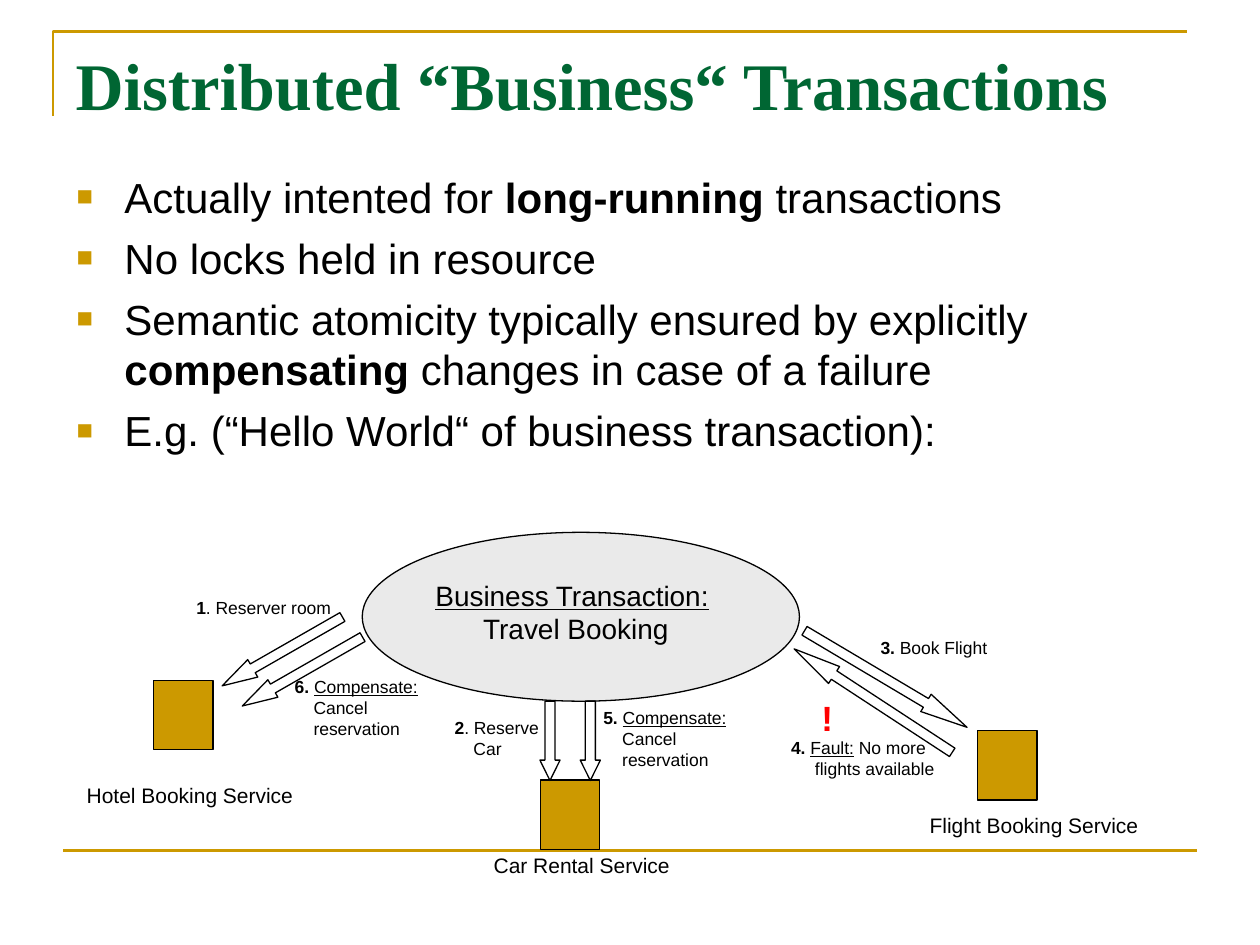
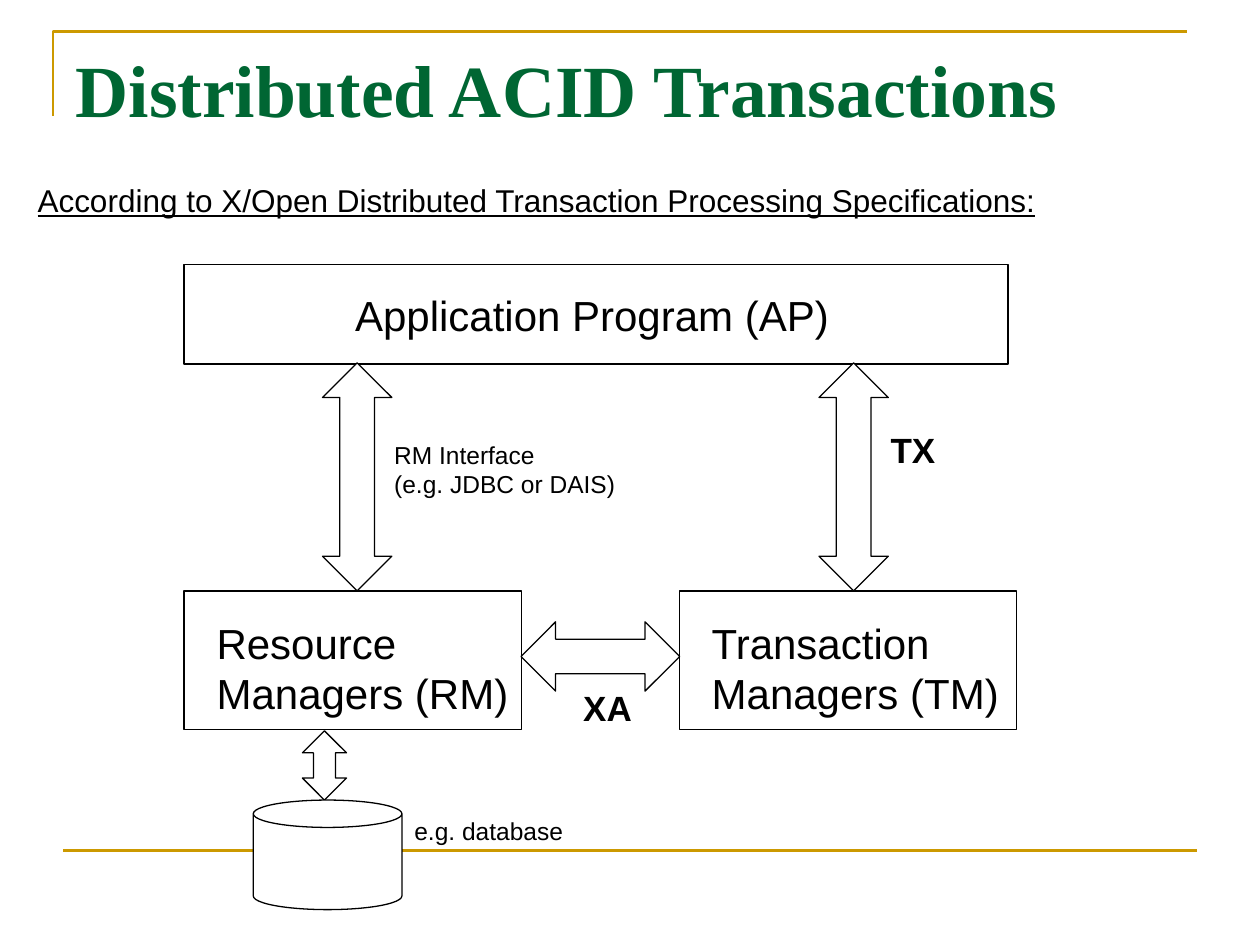
from lxml import etree
from pptx import Presentation
from pptx.dml.color import RGBColor
from pptx.enum.shapes import MSO_CONNECTOR, MSO_SHAPE
from pptx.enum.text import MSO_ANCHOR, MSO_AUTO_SIZE, PP_ALIGN
from pptx.oxml.ns import qn
from pptx.util import Inches, Pt

OVAL, RECT, CAN = MSO_SHAPE.OVAL, MSO_SHAPE.RECTANGLE, MSO_SHAPE.CAN
ARROW, DOUBLE_ARROW = MSO_SHAPE.RIGHT_ARROW, MSO_SHAPE.UP_DOWN_ARROW
STRAIGHT = MSO_CONNECTOR.STRAIGHT
TOP = MSO_ANCHOR.TOP
FIXED = MSO_AUTO_SIZE.NONE
LEFT, CENTER = PP_ALIGN.LEFT, PP_ALIGN.CENTER

COLORS = {
    name: RGBColor.from_string(value)
    for name, value in {
        "gold": "CC9900",
        "green": "006633",
        "black": "000000",
        "white": "FFFFFF",
        "gray": "EAEAEA",
        "red": "FF0000",
    }.items()
}
BODY_FONT, TITLE_FONT = "Arial", "Times New Roman"
LABEL_SLACK = 0.1


def add_figure(slide, kind, box, fill="white", rotation=0, adjust=()):
    figure = slide.shapes.add_shape(kind, *map(Inches, box))
    figure.shadow.inherit = False
    figure.rotation = rotation
    for index, value in enumerate(adjust):
        figure.adjustments[index] = value
    figure.fill.solid()
    figure.fill.fore_color.rgb = COLORS[fill]
    figure.line.color.rgb = COLORS["black"]
    figure.line.width = Pt(0.75)


def add_text(slide, box, size, lines, color="black", align=LEFT, indent=0, bullets=False):
    left, top, width, height = box
    if align == LEFT and not bullets:
        width += LABEL_SLACK
    frame = slide.shapes.add_textbox(*map(Inches, (left, top, width, height))).text_frame
    frame.word_wrap = True
    frame.auto_size = FIXED
    for index, runs in enumerate(lines):
        paragraph = frame.paragraphs[0] if index == 0 else frame.add_paragraph()
        properties = paragraph._p.get_or_add_pPr()
        if bullets:
            properties.set("marL", str(Inches(0.38)))
            properties.set("indent", str(Inches(-0.38)))
            bullet_color = etree.SubElement(properties, qn("a:buClr"))
            etree.SubElement(bullet_color, qn("a:srgbClr"), val=str(COLORS["gold"]))
            etree.SubElement(properties, qn("a:buSzPct"), val="65000")
            etree.SubElement(properties, qn("a:buFont"), typeface=BODY_FONT)
            etree.SubElement(properties, qn("a:buChar"), char="■")
            if index:
                paragraph.space_before = Pt(6)
        elif index and indent:
            properties.set("marL", str(Inches(indent)))
        paragraph.alignment = align
        paragraph.line_spacing = Pt(1.2 * size)
        for words, style in runs:
            run = paragraph.add_run()
            run.text = words
            run.font.name = BODY_FONT
            run.font.size = Pt(size)
            run.font.color.rgb = COLORS[color]
            run.font.bold = "b" in style
            run.font.underline = "u" in style


prs = Presentation()
prs.slide_width, prs.slide_height = Inches(10), Inches(7.5)

for heading, heading_size, heading_width in [
    ("Distributed “Business“ Transactions", 38, 9.3),
    ("Distributed ACID Transactions", 42, 9),
]:
    slide = prs.slides.add_slide(prs.slide_layouts[5])
    corner = slide.shapes.build_freeform(Inches(0.42), Inches(0.92))
    corner.add_line_segments(
        [(Inches(0.42), Inches(0.25)), (Inches(9.42), Inches(0.25))], close=False)
    corner_rule = corner.convert_to_shape()
    corner_rule.shadow.inherit = False
    corner_rule.fill.background()
    bottom_rule = slide.shapes.add_connector(
        STRAIGHT, Inches(0.5), Inches(6.75), Inches(9.5), Inches(6.75))
    etree.SubElement(bottom_rule._element.spPr, qn("a:effectLst"))
    for rule in (corner_rule, bottom_rule):
        rule.line.color.rgb = COLORS["gold"]
        rule.line.width = Pt(1.5)

    title = slide.shapes.title
    title.left, title.top = Inches(0.5), Inches(0.3)
    title.width, title.height = Inches(heading_width), Inches(1.25)
    title.text_frame.vertical_anchor = TOP
    title.text_frame.word_wrap = True
    title.text_frame.auto_size = FIXED
    title.text_frame.paragraphs[0].alignment = LEFT
    title_run = title.text_frame.paragraphs[0].add_run()
    title_run.text = heading
    title_run.font.name = TITLE_FONT
    title_run.font.size = Pt(heading_size)
    title_run.font.bold = True
    title_run.font.color.rgb = COLORS["green"]

business, acid = prs.slides

add_text(business, (0.51, 1.31, 9, 4.95), 24, [
    [("Actually intented for ", ""), ("long-running", "b"), (" transactions", "")],
    [("No locks held in resource", "")],
    [("Semantic atomicity typically ensured by explicitly ", ""),
     ("compensating", "b"), (" changes in case of a failure", "")],
    [("E.g. (“Hello World“ of business transaction):", "")],
], bullets=True)

add_figure(business, OVAL, (3.94, 3.16, 1.34, 3.47), "gray", 90)
for left, top in [(1.22, 5.4), (4.29, 6.19), (7.76, 5.8)]:
    add_figure(business, RECT, (left, top, 0.47, 0.55), "gold")
for left, top, length, rotation, head in [
    (1.69, 5.09, 1.1, 150.2, 1.75),
    (1.85, 5.25, 1.1, 150.2, 1.75),
    (4.05, 5.8, 0.63, 90, 1.01),
    (4.37, 5.8, 0.63, 90, 1.01),
    (6.28, 5.31, 1.5, 30.7, 2.37),
    (6.18, 5.48, 1.5, 213.2, 2.37),
]:
    add_figure(business, ARROW, (left, top, length, 0.16), "white", rotation, (0.5, head))

add_text(business, (3.35, 4.54, 2.38, 0.64), 16,
         [[("Business Transaction:", "u")], [("Travel Booking", "")]],
         align=CENTER, indent=0.06)
for service, left, top, width in [
    ("Hotel Booking Service", 0.59, 6.16, 1.84),
    ("Flight Booking Service", 7.28, 6.4, 1.86),
    ("Car Rental Service", 3.82, 6.72, 1.6),
]:
    add_text(business, (left, top, width, 0.3), 12, [[(service, "")]])

cancellation = [[("Cancel", "")], [("reservation", "")]]
for box, indent, lines in [
    ((1.46, 4.69, 1.27, 0.27), 0, [[("1", "b"), (". Reserver room", "")]]),
    ((3.51, 5.64, 0.87, 0.44), 0.15, [[("2", "b"), (". Reserve", "")], [("Car", "")]]),
    ((6.89, 5.01, 1.04, 0.27), 0, [[("3.", "b"), (" Book Flight", "")]]),
    ((6.18, 5.8, 1.34, 0.44), 0.19,
     [[("4. ", "b"), ("Fault:", "u"), (" No more", "")], [("flights available", "")]]),
    ((4.69, 5.56, 1.17, 0.6), 0.15, [[("5. ", "b"), ("Compensate:", "u")]] + cancellation),
    ((2.24, 5.32, 1.17, 0.6), 0.15, [[("6. ", "b"), ("Compensate:", "u")]] + cancellation),
]:
    add_text(business, box, 10, lines, indent=indent)
add_text(business, (6.42, 5.48, 0.29, 0.44), 20, [[("!", "b")]], color="red")

for box in [(1.46, 2.1, 6.54, 0.79), (1.46, 4.69, 2.68, 1.1), (5.39, 4.69, 2.68, 1.1)]:
    add_figure(acid, RECT, box)
for box, rotation, head in [
    ((2.56, 2.88, 0.55, 1.81), 0, 0.66),
    ((6.5, 2.88, 0.55, 1.81), 0, 0.66),
    ((4.49, 4.58, 0.55, 1.26), 270, 0.46),
    ((2.4, 5.8, 0.35, 0.55), 0, 0.31),
]:
    add_figure(acid, DOUBLE_ARROW, box, "white", rotation, (head, 0.5))
add_figure(acid, CAN, (2.01, 6.35, 1.18, 0.87), adjust=(0.25,))

for box, size, style, lines in [
    ((0.2, 1.39, 8.13, 0.4), 18, "u",
     ["According to X/Open Distributed Transaction Processing Specifications:"]),
    ((2.72, 2.25, 3.96, 0.5), 24, "", ["Application Program (AP)"]),
    ((1.62, 4.85, 2.51, 0.9), 24, "", ["Resource", "Managers (RM)"]),
    ((5.55, 4.85, 2.48, 0.9), 24, "", ["Transaction", "Managers (TM)"]),
    ((3.03, 3.44, 1.95, 0.57), 14, "", ["RM Interface", "(e.g. JDBC or DAIS)"]),
    ((6.97, 3.35, 0.55, 0.44), 20, "b", ["TX"]),
    ((4.53, 5.4, 0.58, 0.44), 20, "b", ["XA"]),
    ((3.19, 6.43, 1.38, 0.34), 14, "", ["e.g. database"]),
]:
    add_text(acid, box, size, [[(line, style)] for line in lines])

prs.save("out.pptx")
